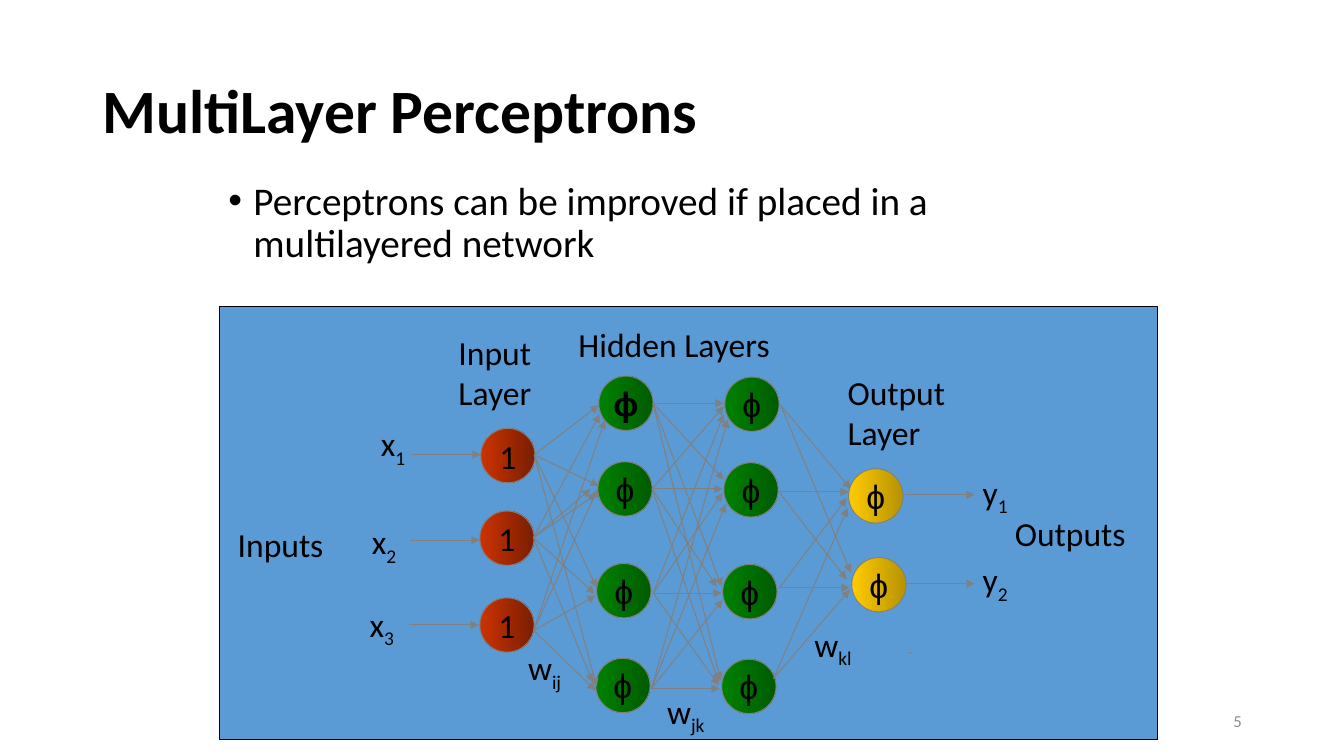
"""Builds a slide that shows a multilayer perceptron as a network diagram."""
from typing import NamedTuple

from lxml import etree
from pptx import Presentation
from pptx import util as u
from pptx.dml import color
from pptx.enum import shapes, text
from pptx.oxml import ns

Point = tuple[float, float]
GRAY, BLACK = "808080", "000000"
NODE_SIZE = 38.9


class Layer(NamedTuple):
    start: str
    end: str
    label: str
    font: str
    places: list[Point]


class Fan(NamedTuple):
    start: Point
    tips: list[Point]


class Label(NamedTuple):
    text: str
    x: float
    y: float
    w: float
    h: float = 36.7
    sub: str = ""
    wrap: bool = False


HIDDEN = [(427.7, 268.6), (427, 329.8), (426.2, 402.5), (425.5, 470.2)]
LAYERS = [
    Layer("CC3300", "791E00", "1", "Calibri", [(343.4, 306), (342.7, 365), (342.7, 427)]),
    Layer("008000", "005C00", "ϕ", "Arial", HIDDEN),
    Layer("008000", "005C00", "ϕ", "Arial", [(x + 90, y + 0.7) for x, y in HIDDEN]),
]
OUTPUT = Layer("FFCC00", "B69200", "ϕ", "Arial", [(606.2, 334.8), (608.4, 398.2)])

FANS = [
    Fan((293.8, 324.7), [(343.4, 324.7)]),
    Fan((293, 385.9), [(342.7, 385.9)]),
    Fan((292.3, 446.4), [(342, 446.4)]),
    Fan((381.6, 324.9), [(427.7, 289.4), (427.7, 347), (426.2, 419.8), (426.2, 490.3)]),
    Fan((381, 384), [(428.4, 295.9), (426.2, 352.8), (421.9, 349.2),
                     (424.8, 424.1), (423.4, 487.4)]),
    Fan((381.2, 450.3), [(432, 300.2), (427, 349.2), (425.5, 425.5), (425.5, 493.2)]),
    Fan((466.4, 288), [(517, 288), (517, 342.7), (515.5, 419), (514.8, 486)]),
    Fan((465.8, 349.2), [(517, 290.2), (516.2, 349.2), (511.9, 419), (513.4, 487.4)]),
    Fan((466.6, 423.7), [(517, 295.9), (516.2, 352.1), (515.5, 423.7), (513.4, 489.6)]),
    Fan((465.4, 491.8), [(519.8, 299.5), (518.4, 360), (516.2, 428.4), (514.1, 491.8)]),
    Fan((557.6, 289.4), [(607.7, 349.2), (607.7, 409)]),
    Fan((556.4, 351.4), [(606.2, 351.4), (604.8, 414)]),
    Fan((556.8, 419.8), [(604.8, 355.7), (607, 419.8)]),
    Fan((552.6, 484.6), [(605.5, 362.9), (607, 421.2)]),
    Fan((646.6, 353.5), [(696.2, 353.5)]),
    Fan((646.6, 416.9), [(696.2, 416.9)]),
]

LABELS = [
    Label("x", 265, 298.8, 33.1, sub="1"),
    Label("x", 258.5, 368.6, 33.1, sub="2"),
    Label("x", 257, 427.7, 33.1, sub="3"),
    Label("y", 694.8, 333.4, 33.8, sub="1"),
    Label("y", 694.8, 396, 33.8, sub="2"),
    Label("w", 370.1, 458.6, 60.5, sub="ij", wrap=True),
    Label("w", 469.4, 489.6, 60.5, sub="jk", wrap=True),
    Label("w", 574.6, 442.1, 60.5, sub="kl", wrap=True),
    Label("Input\nLayer", 320.4, 233.3, 67, 65.5),
    Label("Hidden Layers", 406.1, 227.5, 152.6),
    Label("Output\nLayer", 598.3, 262.1, 85, 65.5),
    Label("Inputs", 162.7, 370.8, 76.3),
    Label("Outputs", 717.8, 362.9, 94.3),
]


def rgb(value: str) -> color.RGBColor:
    """Turn a hex string into a colour."""
    return color.RGBColor.from_string(value)


def write(tf, content: str, *, size: float = 24, font: str = "Calibri", hue: str = BLACK,
          bold: bool = False, sub: str = "", align=text.PP_ALIGN.LEFT,
          anchor=text.MSO_ANCHOR.TOP, wrap: bool = True, spacing: float = 1.0,
          bullet: bool = False) -> None:
    """Fill a text frame, one paragraph a line, with an optional subscript."""
    tf.word_wrap = wrap
    tf.vertical_anchor = anchor
    for i, line in enumerate(content.split("\n")):
        p = tf.add_paragraph() if i else tf.paragraphs[0]
        p.alignment = align
        p.line_spacing = spacing
        if bullet:
            pPr = p._p.get_or_add_pPr()
            pPr.set("marL", str(u.Pt(18)))
            pPr.set("indent", str(-u.Pt(18)))
            etree.SubElement(pPr, ns.qn("a:buFont"), typeface="Arial")
            etree.SubElement(pPr, ns.qn("a:buChar"), char="•")
        for part in filter(None, (line, sub)):
            r = p.add_run()
            r.text = part
            r.font.size = u.Pt(size)
            r.font.name = font
            r.font.bold = bold
            r.font.color.rgb = rgb(hue)
        if sub:
            r._r.get_or_add_rPr().set("baseline", "-25000")


def add_text(s, content: str, x: float, y: float, w: float, h: float, **fmt):
    """Add a text box and return its text frame."""
    tf = s.shapes.add_textbox(u.Pt(x), u.Pt(y), u.Pt(w), u.Pt(h)).text_frame
    write(tf, content, **fmt)
    return tf


def add_shape(s, kind, x: float, y: float, w: float, h: float, line: str):
    """Add a preset shape with a thin outline and no shadow."""
    sp = s.shapes.add_shape(kind, u.Pt(x), u.Pt(y), u.Pt(w), u.Pt(h))
    sp.shadow.inherit = False
    sp.line.color.rgb = rgb(line)
    sp.line.width = u.Pt(0.75)
    return sp


def add_layer(s, layer: Layer) -> None:
    """Draw the nodes of one layer."""
    for x, y in layer.places:
        sp = add_shape(s, shapes.MSO_SHAPE.OVAL, x, y, NODE_SIZE, NODE_SIZE, GRAY)
        sp.fill.gradient()
        sp.fill.gradient_angle = 0
        for stop, hue in zip(sp.fill.gradient_stops, (layer.start, layer.end)):
            stop.color.rgb = rgb(hue)
        write(sp.text_frame, layer.label, font=layer.font, bold=(x, y) == HIDDEN[0],
              align=text.PP_ALIGN.CENTER, anchor=text.MSO_ANCHOR.MIDDLE, wrap=False)


def add_line(s, start: Point, end: Point, width: float = 0.75, arrow: bool = True) -> None:
    """Draw a gray line, with an arrowhead at its end if asked."""
    ends = [u.Pt(v) for v in (*start, *end)]
    c = s.shapes.add_connector(shapes.MSO_CONNECTOR.STRAIGHT, *ends)
    c.line.color.rgb = rgb(GRAY)
    c.line.width = u.Pt(width)
    if arrow:
        etree.SubElement(c.line._get_or_add_ln(), ns.qn("a:tailEnd"), type="triangle")
    etree.SubElement(c._element.spPr, ns.qn("a:effectLst"))


def main() -> None:
    """Build the slide and save it."""
    prs = Presentation()
    prs.slide_width, prs.slide_height = u.Pt(960), u.Pt(540)
    s = prs.slides.add_slide(prs.slide_layouts[6])
    add_text(s, "5", 678.2, 500.4, 216, 28.8, size=12, hue="8C8C8C",
             align=text.PP_ALIGN.RIGHT, anchor=text.MSO_ANCHOR.MIDDLE)
    add_text(s, "MultiLayer Perceptrons", 66, 28.8, 828, 104.4, size=44, bold=True,
             anchor=text.MSO_ANCHOR.MIDDLE, spacing=0.9)
    add_text(s, "Perceptrons can be improved if placed in a multilayered network",
             156, 126, 648, 118.8, size=28, spacing=0.9, bullet=True)
    panel = add_shape(s, shapes.MSO_SHAPE.RECTANGLE, 157, 218.9, 669.6, 309.6, BLACK)
    panel.fill.solid()
    panel.fill.fore_color.rgb = rgb("5B9BD5")
    for layer in LAYERS:
        add_layer(s, layer)
    for fan in FANS:
        for tip in fan.tips:
            add_line(s, fan.start, tip)
    add_layer(s, OUTPUT)
    for label in LABELS:
        tf = add_text(s, label.text, label.x, label.y, label.w, label.h,
                      sub=label.sub, wrap=label.wrap)
        tf.auto_size = text.MSO_AUTO_SIZE.SHAPE_TO_FIT_TEXT
    for end in ((650.2, 467.3), (651.6, 465.8)):
        add_line(s, (649.4, 465.8), end, width=0.25, arrow=False)
    prs.save("out.pptx")


if __name__ == "__main__":
    main()
